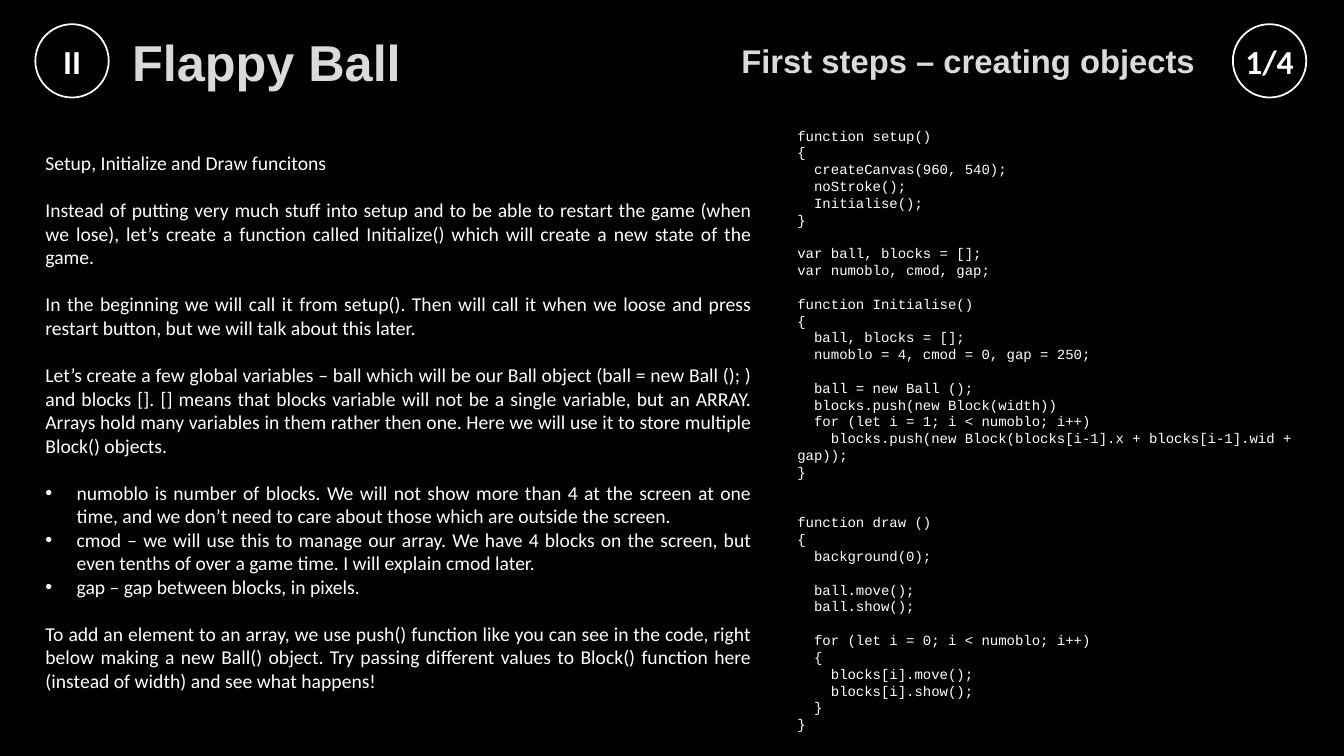
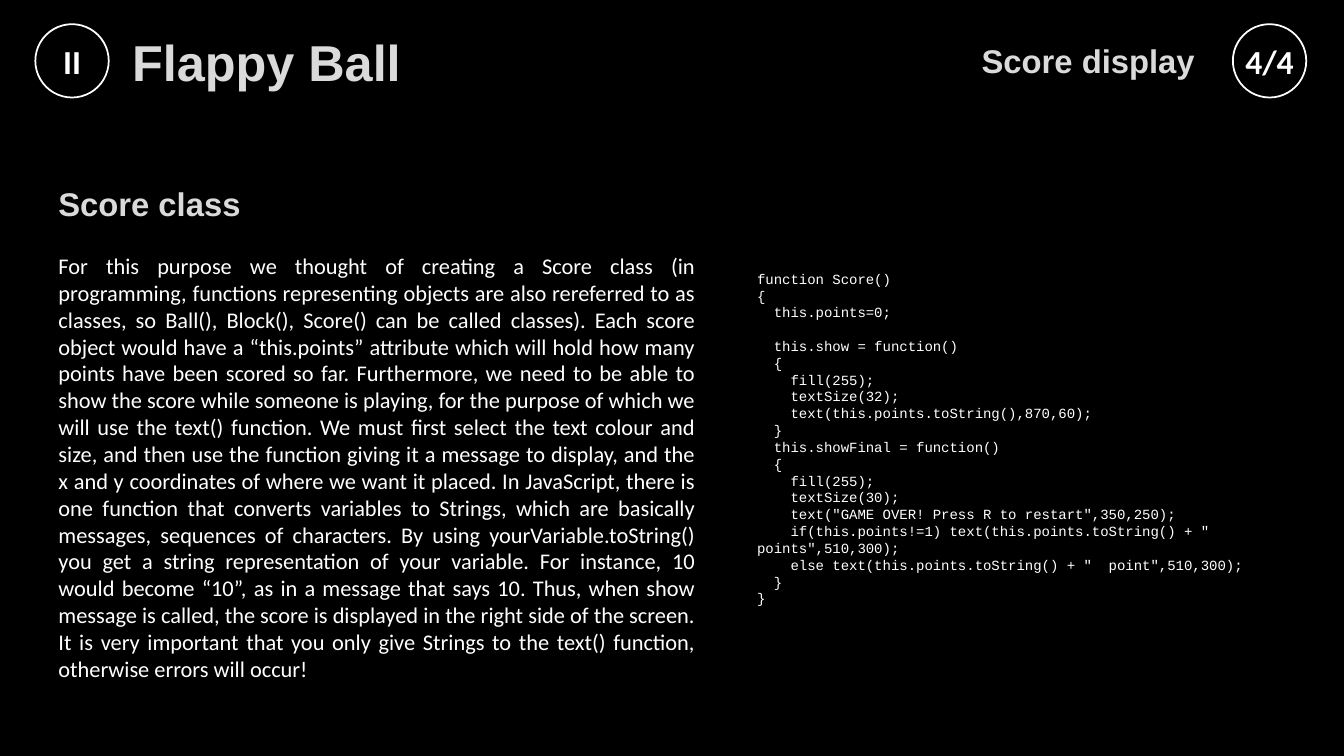
import lxml.etree
import pptx
import pptx.dml.color
import pptx.enum.shapes
import pptx.enum.text
import pptx.oxml.ns
import pptx.util

SLIDE_WIDTH = pptx.util.Inches(13.33)
SLIDE_HEIGHT = pptx.util.Inches(7.5)
COLUMN, ROW = SLIDE_WIDTH / 100, SLIDE_HEIGHT / 100

BLACK, WHITE, SILVER, EDGE = "000000", "FFFFFF", "DADADA", "404040"
ALIGN = pptx.enum.text.PP_ALIGN
ANCHOR = pptx.enum.text.MSO_ANCHOR

HEADING = dict(font="Arial", color=SILVER, bold=True, outlined=True, anchor=ANCHOR.MIDDLE)
PROSE = dict(font="Calibri", color=WHITE, align=ALIGN.JUSTIFY)
CODE = dict(font="Courier New", color=WHITE, size=10, gap=12)
BADGE = dict(font="Calibri", color=WHITE, size=24, bold=True,
             align=ALIGN.CENTER, anchor=ANCHOR.MIDDLE, inset=0)

TITLE_AREA = (9.08, 4.53, 77.4, 7.07)
TOPIC_AREA = (54.08, 2.13, 35.55, 11.73)
CHAPTER_AREA = (2.63, 3.2, 5.46, 9.7)
STEP_AREA = (91.73, 3.2, 5.46, 9.7)

SETUP_PARAGRAPHS = [
    "Setup, Initialize and Draw funcitons",
    "Instead of putting very much stuff into setup and to be able to restart the game (when we "
    "lose), let’s create a function called Initialize() which will create a new state of the game.",
    "In the beginning we will call it from setup(). Then will call it when we loose and press "
    "restart button, but we will talk about this later.",
    "Let’s create a few global variables – ball which will be our Ball object (ball = new Ball "
    "(); ) and blocks []. [] means that blocks variable will not be a single variable, but an "
    "ARRAY. Arrays hold many variables in them rather then one. Here we will use it to store "
    "multiple Block() objects.",
    "• numoblo is number of blocks. We will not show more than 4 at the screen at one time, and "
    "we don’t need to care about those which are outside the screen.\n"
    "• cmod – we will use this to manage our array. We have 4 blocks on the screen, but even "
    "tenths of over a game time. I will explain cmod later.\n"
    "• gap – gap between blocks, in pixels.",
    "To add an element to an array, we use push() function like you can see in the code, right "
    "below making a new Ball() object. Try passing different values to Block() function here "
    "(instead of width) and see what happens!",
]

SETUP_CODE = """function setup()
{
  createCanvas(960, 540);
  noStroke();
  Initialise();
}

var ball, blocks = [];
var numoblo, cmod, gap;

function Initialise()
{
  ball, blocks = [];
  numoblo = 4, cmod = 0, gap = 250;

  ball = new Ball ();
  blocks.push(new Block(width))
  for (let i = 1; i < numoblo; i++)
    blocks.push(new Block(blocks[i-1].x + blocks[i-1].wid + gap));
}


function draw ()
{
  background(0);

  ball.move();
  ball.show();

  for (let i = 0; i < numoblo; i++)
  {
    blocks[i].move();
    blocks[i].show();
  }
}"""

SCORE_SENTENCES = [
    "For this purpose we thought of creating a Score class (in programming, functions "
    "representing objects are also rereferred to as classes, so Ball(), Block(), Score() can be "
    "called classes).",
    "Each score object would have a “this.points” attribute which will hold how many points "
    "have been scored so far.",
    "Furthermore, we need to be able to show the score while someone is playing, for the purpose "
    "of which we will use the text() function.",
    "We must first select the text colour and size, and then use the function giving it a message "
    "to display, and the x and y coordinates of where we want it placed.",
    "In JavaScript, there is one function that converts variables to Strings, which are basically "
    "messages, sequences of characters.",
    "By using yourVariable.toString() you get a string representation of your variable.",
    "For instance, 10 would become “10”, as in a message that says 10.",
    "Thus, when show message is called, the score is displayed in the right side of the screen.",
    "It is very important that you only give Strings to the text() function, otherwise errors "
    "will occur!",
]

SCORE_CODE = """function Score()
{
  this.points=0;

  this.show = function()
  {
    fill(255);
    textSize(32);
    text(this.points.toString(),870,60);
  }
  this.showFinal = function()
  {
    fill(255);
    textSize(30);
    text("GAME OVER! Press R to restart",350,250);
    if(this.points!=1) text(this.points.toString() + "  points",510,300);
    else text(this.points.toString() + "  point",510,300);
  }
}"""


def rgb(value):
    """Turn a hex string into a colour."""
    return pptx.dml.color.RGBColor.from_string(value)


def grid(area):
    """Turn left, top, width and height in columns and rows into slide lengths."""
    return [round(part * unit) for part, unit in zip(area, (COLUMN, ROW) * 2)]


def add_element(parent, tag, **attributes):
    """Append a drawing element with its attributes."""
    return lxml.etree.SubElement(parent, pptx.oxml.ns.qn(tag), attributes)


def outline_text(run):
    """Give a run a thin, nearly transparent edge."""
    properties = run._r.get_or_add_rPr()
    edge = add_element(properties, "a:ln", w=str(pptx.util.Pt(0.75)))
    color = add_element(add_element(edge, "a:solidFill"), "a:srgbClr", val=EDGE)
    add_element(color, "a:alpha", val="10000")
    properties.insert(0, edge)


def set_bullet(paragraph, bulleted):
    """Give a paragraph a hanging bullet, or none."""
    properties = paragraph._p.get_or_add_pPr()
    indent = pptx.util.Inches(0.31) if bulleted else 0
    properties.set("marL", str(indent))
    properties.set("indent", str(-indent))
    if bulleted:
        add_element(properties, "a:buFont", typeface="Arial")
        add_element(properties, "a:buChar", char="•")
    else:
        add_element(properties, "a:buNone")


def write(shape, text, font, color, size, bold=False, align=ALIGN.LEFT,
          anchor=ANCHOR.TOP, inset=None, gap=0, outlined=False):
    """Fill a shape with text; each empty line adds one gap before the next paragraph."""
    frame = shape.text_frame
    frame.word_wrap = True
    frame.auto_size = pptx.enum.text.MSO_AUTO_SIZE.NONE
    frame.vertical_anchor = anchor
    if inset is not None:
        frame.margin_left = frame.margin_right = inset
        frame.margin_top = frame.margin_bottom = inset
    gaps, paragraph = 0, None
    for line in text.splitlines():
        if not line:
            gaps += 1
            continue
        paragraph = frame.add_paragraph() if paragraph else frame.paragraphs[0]
        set_bullet(paragraph, line.startswith("• "))
        paragraph.alignment = align
        paragraph.space_before = pptx.util.Pt(gaps * gap)
        gaps = 0
        run = paragraph.add_run()
        run.text = line.removeprefix("• ")
        run.font.name, run.font.bold = font, bold
        run.font.size = pptx.util.Pt(size)
        run.font.color.rgb = rgb(color)
        if outlined:
            outline_text(run)


def fill_placeholder(placeholder, area, text, **style):
    """Move a placeholder and write its text."""
    placeholder.left, placeholder.top, placeholder.width, placeholder.height = grid(area)
    write(placeholder, text, **style)


def add_heading(slide, area, text, **style):
    """Add a secondary heading."""
    write(slide.shapes.add_textbox(*grid(area)), text, size=23.4, **HEADING, **style)


def add_badge(slide, area, text):
    """Add a ringed label."""
    ring = slide.shapes.add_shape(pptx.enum.shapes.MSO_SHAPE.OVAL, *grid(area))
    ring.shadow.inherit = False
    ring.fill.background()
    ring.line.color.rgb = rgb(WHITE)
    ring.line.width = pptx.util.Pt(1.25)
    write(ring, text, **BADGE)


def add_lesson(deck, topic, step, prose, prose_area, prose_style, code, code_area):
    """Add a slide with the shared header, an explanation and its code."""
    slide = deck.slides.add_slide(deck.slide_layouts.get_by_name("Two Content"))
    title, explanation, listing = slide.placeholders
    fill_placeholder(title, TITLE_AREA, "Flappy Ball", size=36, **HEADING)
    fill_placeholder(explanation, prose_area, prose, **PROSE, **prose_style)
    fill_placeholder(listing, code_area, code, **CODE)
    add_badge(slide, CHAPTER_AREA, "II")
    add_badge(slide, STEP_AREA, step)
    add_heading(slide, TOPIC_AREA, topic, align=ALIGN.RIGHT)
    return slide


def main():
    """Build and save the lessons."""
    deck = pptx.Presentation()
    deck.slide_width, deck.slide_height = SLIDE_WIDTH, SLIDE_HEIGHT
    backdrop = deck.slide_master.background.fill
    backdrop.solid()
    backdrop.fore_color.rgb = rgb(BLACK)

    add_lesson(deck, "First steps – creating objects", "1/4",
               "\n\n".join(SETUP_PARAGRAPHS), (2.63, 19.33, 54.08, 70.4),
               dict(size=14, gap=16.8), SETUP_CODE, (58.58, 16.13, 39.83, 79.87))
    score = add_lesson(deck, "Score display", "4/4",
                       " ".join(SCORE_SENTENCES), (3.6, 32.67, 48.9, 58.8),
                       dict(size=16), SCORE_CODE, (55.58, 35.07, 44.42, 44))
    add_heading(score, (3.6, 21.07, 48.9, 11.73), "Score class")

    deck.save("out.pptx")


if __name__ == "__main__":
    main()
